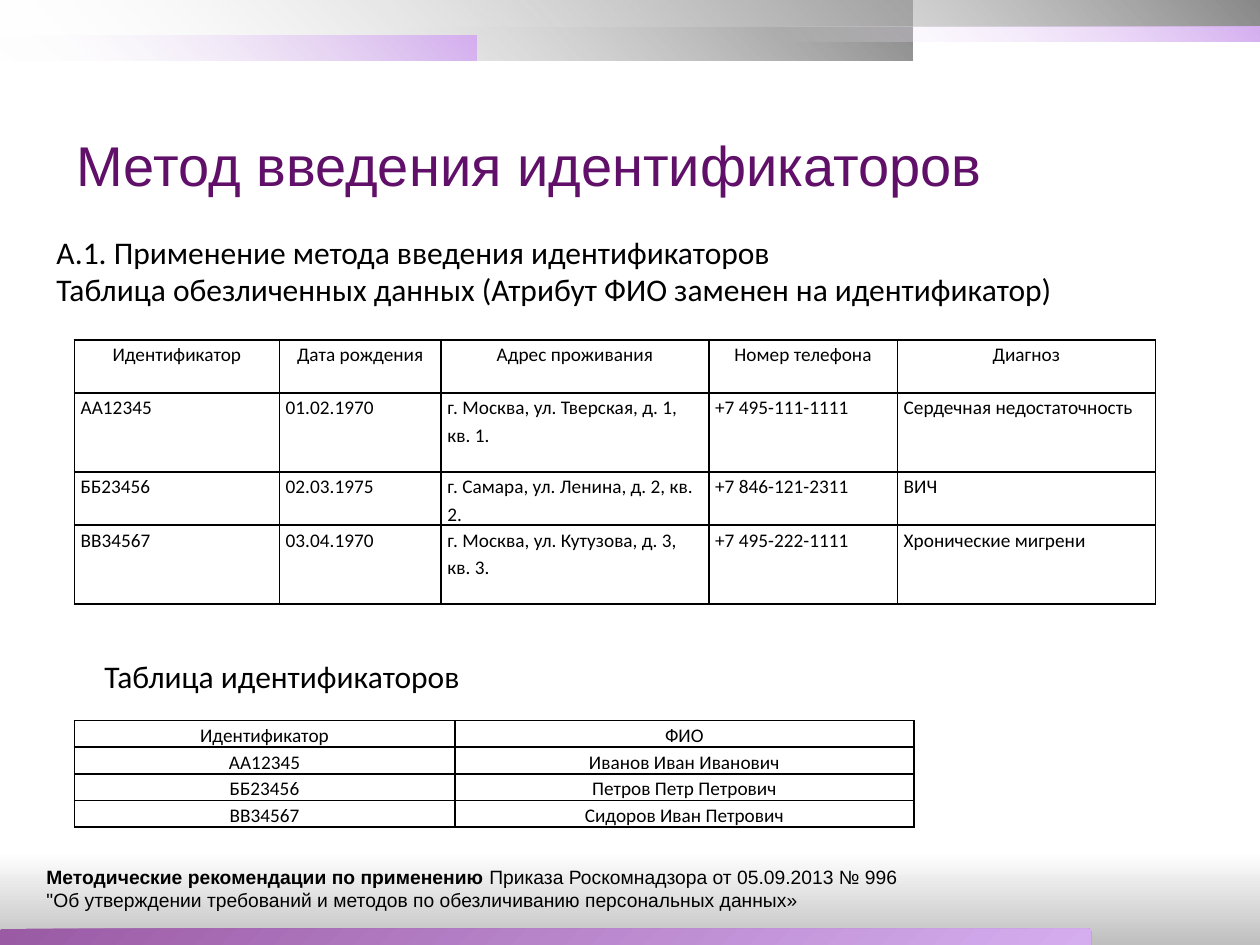
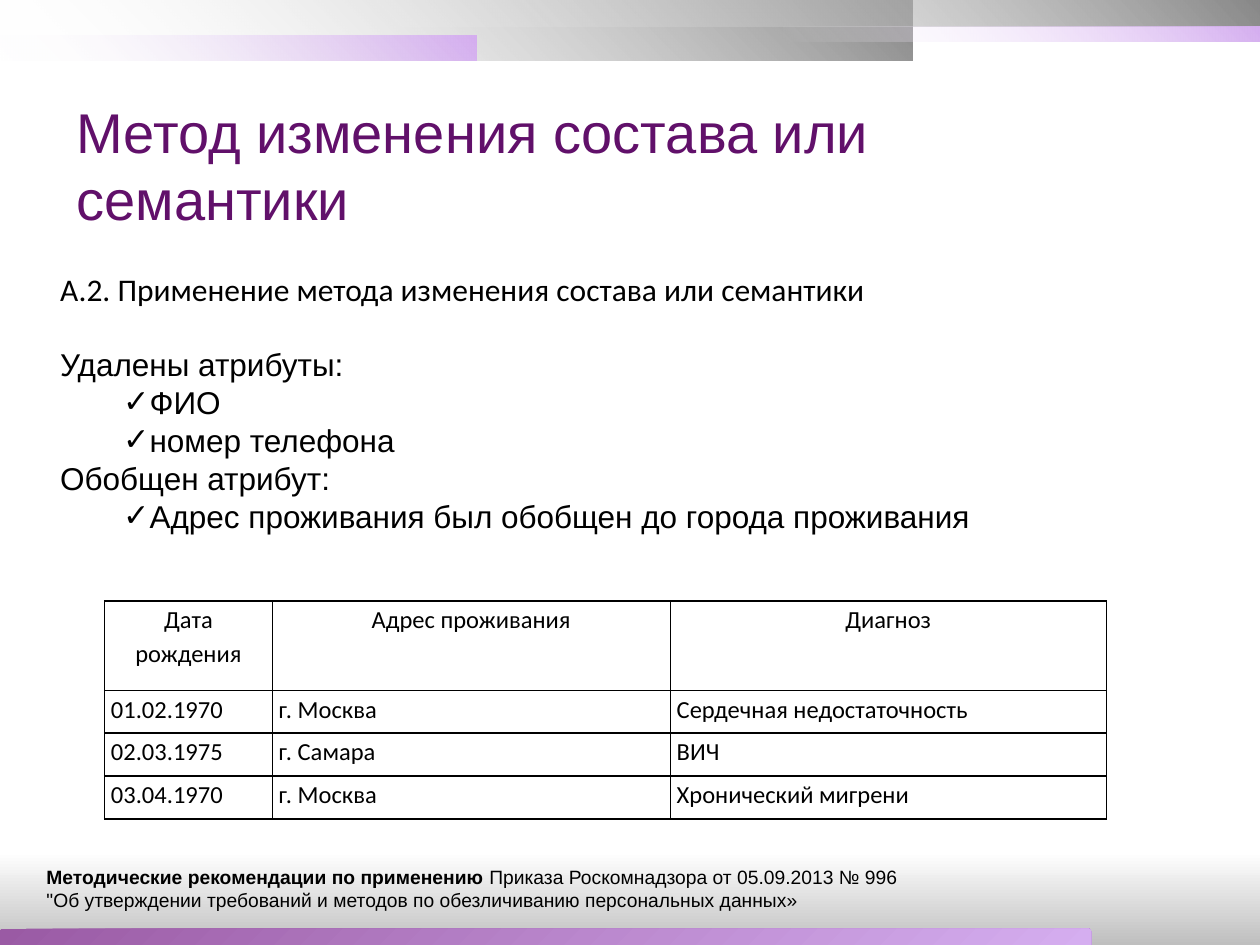
from lxml import etree
from pptx import Presentation
from pptx.dml.color import RGBColor
from pptx.enum.shapes import MSO_SHAPE
from pptx.enum.text import MSO_ANCHOR, PP_ALIGN
from pptx.oxml import parse_xml
from pptx.oxml.ns import qn
from pptx.util import Pt

NS = "http://schemas.openxmlformats.org/drawingml/2006/main"
COLORS = {
    "title": "61106A", "text": "000000", "white": "FFFFFF", "silver": "BFBFBF",
    "grey": "888888", "violet": "9A5AA4", "lilac": "D5AEF0",
}
LINEAR = '<a:lin ang="{}" scaled="0"/>'
CORNER = '<a:path path="circle"><a:fillToRect l="100000" b="100000"/></a:path>'
FIRST_INDENT = 27.36
LIST_INDENT = 36


def place(box):
    return [Pt(length) for length in box]


def style_run(run, size, font, color="text", bold=False):
    run.font.size = Pt(size)
    run.font.name = font
    run.font.bold = bold
    run.font.color.rgb = RGBColor.from_string(COLORS[color])


def gradient_band(slide, box, stops, direction, outline=MSO_SHAPE.RECTANGLE):
    band = slide.shapes.add_shape(outline, *place(box))
    band.shadow.inherit = False
    band.line.fill.background()
    stop_xml = "".join(
        f'<a:gs pos="{position * 1000}"><a:srgbClr val="{COLORS[color]}">'
        f'<a:alpha val="{opacity * 1000}"/></a:srgbClr></a:gs>'
        for position, color, opacity in stops)
    band.fill.background()
    no_fill = band.element.spPr.find(qn("a:noFill"))
    no_fill.getparent().replace(no_fill, parse_xml(
        f'<a:gradFill xmlns:a="{NS}" rotWithShape="1">'
        f'<a:gsLst>{stop_xml}</a:gsLst>{direction}</a:gradFill>'))


def add_text(slide, box, lines, size, font, color="text",
             anchor=MSO_ANCHOR.TOP, wrap=True):
    frame = slide.shapes.add_textbox(*place(box)).text_frame
    frame.word_wrap = wrap
    frame.vertical_anchor = anchor
    frame.text = "\n".join(lines)
    for paragraph in frame.paragraphs:
        for run in paragraph.runs:
            style_run(run, size, font, color)
    return frame


def indent(paragraph, left=0, bullet=None):
    properties = paragraph._p.get_or_add_pPr()
    properties.set("marL", str(Pt(left)))
    properties.set("indent", str(Pt(FIRST_INDENT)))
    if bullet:
        etree.SubElement(properties, qn("a:buFont"), typeface="Arial")
        etree.SubElement(properties, qn("a:buChar"), char=bullet)


def border_cell(cell):
    properties = cell._tc.get_or_add_tcPr()
    for side in ("L", "R", "T", "B"):
        properties.append(parse_xml(
            f'<a:ln{side} xmlns:a="{NS}" w="{Pt(1)}"><a:solidFill>'
            f'<a:srgbClr val="{COLORS["text"]}"/></a:solidFill></a:ln{side}>'))


def data_table(slide, corner, widths, heights, records, size, centered_rows=1):
    box = (*corner, sum(widths), sum(heights))
    table = slide.shapes.add_table(len(heights), len(widths), *place(box)).table
    table.first_row = table.horz_banding = False
    for column, width in zip(table.columns, widths):
        column.width = Pt(width)
    for row_index, (row, height, record) in enumerate(zip(table.rows, heights, records)):
        row.height = Pt(height)
        for cell, value in zip(row.cells, record):
            cell.margin_left = cell.margin_right = Pt(3.6)
            cell.margin_top = cell.margin_bottom = 0
            border_cell(cell)
            cell.fill.background()
            cell.text_frame.text = value
            paragraph = cell.text_frame.paragraphs[0]
            paragraph.line_spacing = 1.15
            paragraph.alignment = PP_ALIGN.CENTER if row_index < centered_rows else PP_ALIGN.LEFT
            style_run(paragraph.runs[0], size, "Calibri")


def backdrop(slide, width, height):
    gradient_band(slide, (0, height - 105.84, width, 105.84),
                  [(0, "silver", 100), (50, "white", 100)], LINEAR.format(16200000))
    gradient_band(slide, (0, height - 9.36, 623.5, 9.36),
                  [(0, "violet", 100), (100, "lilac", 100)], LINEAR.format(2700000),
                  MSO_SHAPE.ROUND_2_SAME_RECTANGLE)
    for color, band_width, left_band, right_band in (
            ("grey", 521.3, (0, 34.7), (0, 15)),
            ("lilac", 272.2, (20.5, 14.4), (15, 8.6))):
        for left, (top, thickness) in ((0, left_band), (width - band_width, right_band)):
            gradient_band(slide, (left, top, band_width, thickness),
                          [(0, color, 100), (100, "white", 0)], CORNER)


def title(slide, text, width):
    add_text(slide, (36.72, 37.44, width, 113), [text], 32, "Arial", "title",
             MSO_ANCHOR.MIDDLE)


def source_footer(slide):
    lead = "Методические рекомендации по применению "
    frame = add_text(slide, (19.44, 491, 510.5, 33.9), [
        lead,
        "\"Об утверждении требований и методов по обезличиванию персональных данных»",
    ], 11, "Arial")
    order = frame.paragraphs[0]
    order.runs[0].font.bold = True
    decree = order.add_run()
    decree.text = "Приказа Роскомнадзора от 05.09.2013 № 996"
    style_run(decree, 11, "Arial")


def start_slide(deck, heading, heading_width):
    slide = deck.slides.add_slide(deck.slide_layouts[6])
    backdrop(slide, deck.slide_width.pt, deck.slide_height.pt)
    title(slide, heading, heading_width)
    source_footer(slide)
    return slide


def identifiers_slide(deck):
    slide = start_slide(deck, "Метод введения идентификаторов", 538.6)
    add_text(slide, (25.2, 128.9, 629.3, 51.1), [
        "А.1. Применение метода введения идентификаторов",
        "Таблица обезличенных данных (Атрибут ФИО заменен на идентификатор)",
    ], 18, "Calibri", anchor=MSO_ANCHOR.MIDDLE)
    data_table(slide, (42.5, 194.2), (117.2, 92.4, 153, 107.8, 147.4),
               (30.3, 45.2, 30.3, 45.2), [
        ("Идентификатор", "Дата рождения", "Адрес проживания", "Номер телефона", "Диагноз"),
        ("АА12345", "01.02.1970", "г. Москва, ул. Тверская, д. 1, кв. 1.",
         "+7 495-111-1111", "Сердечная недостаточность"),
        ("ББ23456", "02.03.1975", "г. Самара, ул. Ленина, д. 2, кв. 2.",
         "+7 846-121-2311", "ВИЧ"),
        ("ВВ34567", "03.04.1970", "г. Москва, ул. Кутузова, д. 3, кв. 3.",
         "+7 495-222-1111", "Хронические мигрени"),
    ], 11)
    caption = add_text(slide, (25.2, 372.2, 247, 28.8), ["Таблица идентификаторов"],
                       18, "Calibri", wrap=False)
    indent(caption.paragraphs[0])
    data_table(slide, (42.5, 411.8), (217.4, 262.4), [15.2] * 4, [
        ("Идентификатор", "ФИО"),
        ("АА12345", "Иванов Иван Иванович"),
        ("ББ23456", "Петров Петр Петрович"),
        ("ВВ34567", "Сидоров Иван Петрович"),
    ], 11, centered_rows=4)


def semantics_slide(deck):
    slide = start_slide(deck, "Метод изменения состава или семантики", 470.9)
    data_table(slide, (59.8, 343.4), (95.8, 227.5, 249.1), (51.1, 24.5, 24.5, 24.5), [
        ("Дата рождения", "Адрес проживания", "Диагноз"),
        ("01.02.1970", "г. Москва", "Сердечная недостаточность"),
        ("02.03.1975", "г. Самара", "ВИЧ"),
        ("03.04.1970", "г. Москва", "Хронический мигрени"),
    ], 14)
    changes = (
        ("А.2. Применение метода изменения состава или семантики", False),
        ("Удалены атрибуты:", False),
        ("ФИО", True),
        ("номер телефона", True),
        ("Обобщен атрибут:", False),
        ("Адрес проживания был обобщен до города проживания", True),
    )
    body = add_text(slide, (0, 149.8, 655.2, 159.8), [text for text, _ in changes],
                    18, "Arial", anchor=MSO_ANCHOR.MIDDLE)
    body.paragraphs[0].runs[0].font.name = "Calibri"
    body.paragraphs[1].space_before = Pt(21.6)
    for paragraph, (_, listed) in zip(body.paragraphs, changes):
        if listed:
            paragraph.level = 1
            indent(paragraph, LIST_INDENT, "✓")
        else:
            indent(paragraph)


def main():
    deck = Presentation()
    deck.slide_width, deck.slide_height = Pt(720), Pt(540)
    identifiers_slide(deck)
    semantics_slide(deck)
    deck.save("out.pptx")


if __name__ == "__main__":
    main()
